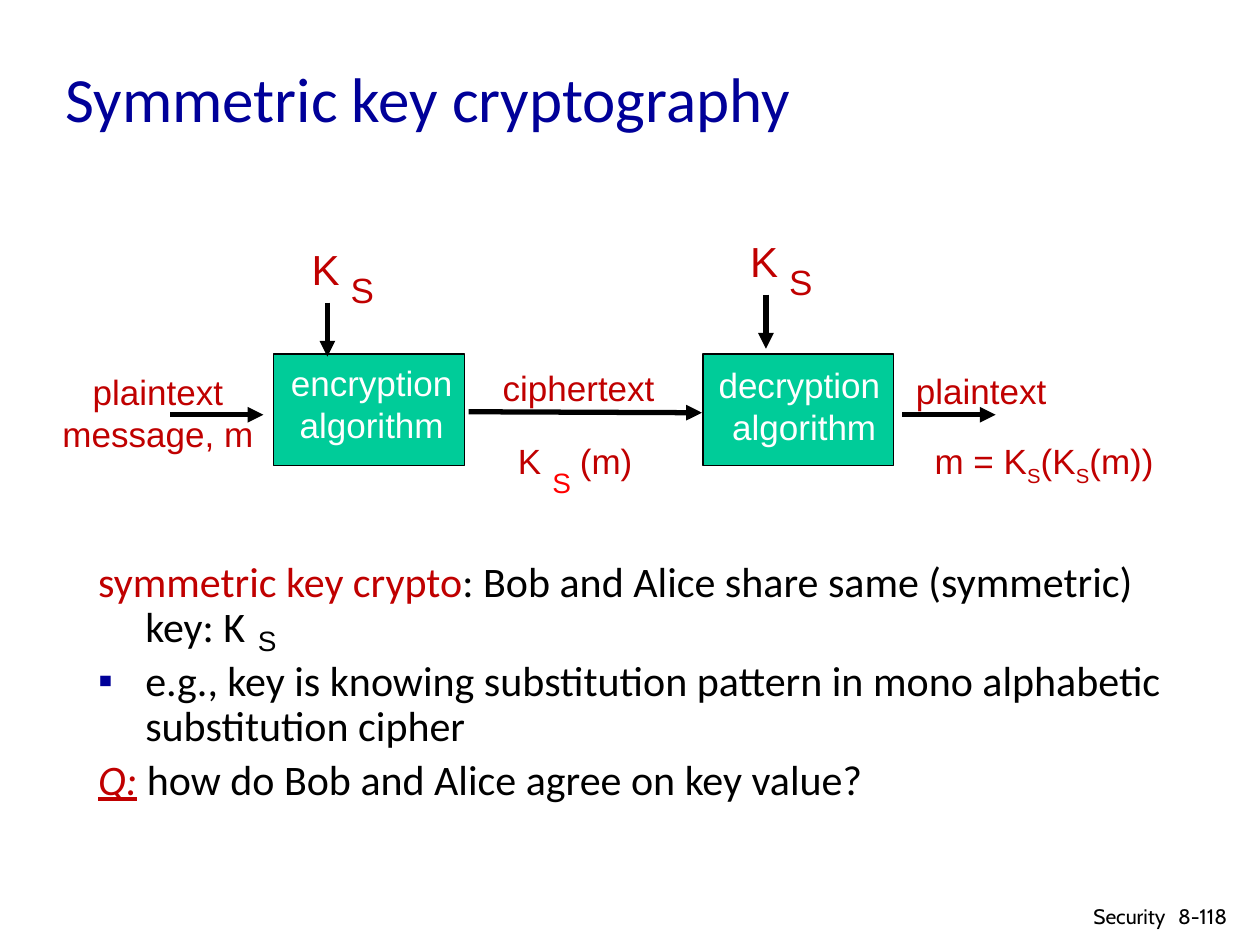
from dataclasses import dataclass
from typing import Any

from lxml.etree import SubElement
from pptx import Presentation
from pptx.dml.color import RGBColor
from pptx.enum.shapes import MSO_CONNECTOR as LINK, MSO_SHAPE as SHAPE
from pptx.enum.text import MSO_ANCHOR as ANCHOR, MSO_AUTO_SIZE as FIT, PP_ALIGN as ALIGN
from pptx.oxml.ns import qn
from pptx.util import Cm, Pt

RED, NAVY, BLACK, WHITE, GREEN = "C00000", "000099", "000000", "FFFFFF", "00CC99"


def color(code):
    return RGBColor.from_string(code)


@dataclass
class SlideBuilder:
    """Holds the text style and the current page and draws each kind of element."""

    page: Any
    face: str = "Arial"
    size: float = 20
    ink: str = RED

    def add_spans(self, para, spans, **style):
        look = {"name": self.face, "size": self.size, "ink": self.ink} | style
        for text, changes in spans:
            span = para.add_run()
            span.text = text
            values = look | changes
            span.font.color.rgb = color(values.pop("ink"))
            values["size"] = Pt(values["size"])
            baseline = values.pop("baseline", None)
            for name, value in values.items():
                setattr(span.font, name, value)
            if baseline:
                span._r.get_or_add_rPr().set("baseline", str(baseline))

    def text(self, place, lines, align=ALIGN.CENTER, wrap=False, fill=None,
             anchor=ANCHOR.TOP, **style):
        box = self.page.shapes.add_textbox(*map(Cm, place))
        if fill:
            box.fill.solid()
            box.fill.fore_color.rgb = color(fill)
        frame = box.text_frame
        settings = {"word_wrap": wrap, "vertical_anchor": anchor,
                    "auto_size": FIT.NONE if wrap else FIT.SHAPE_TO_FIT_TEXT}
        for name, value in settings.items():
            setattr(frame, name, value)
        for index, line in enumerate(lines):
            para = frame.add_paragraph() if index else frame.paragraphs[0]
            para.alignment = align
            self.add_spans(para, [(line, {})] if isinstance(line, str) else line, **style)
        return frame

    def block(self, place):
        box = self.page.shapes.add_shape(SHAPE.RECTANGLE, *map(Cm, place))
        box.shadow.inherit = False
        box.fill.solid()
        box.fill.fore_color.rgb = color(GREEN)
        box.line.color.rgb = color(BLACK)
        box.line.width = Pt(0.75)

    def arrow(self, *ends):
        line = self.page.shapes.add_connector(LINK.STRAIGHT, *map(Cm, ends))
        line.line.color.rgb = color(BLACK)
        line.line.width = Pt(3)
        SubElement(line.line._get_or_add_ln(), qn("a:tailEnd"), type="triangle")
        SubElement(line._element.spPr, qn("a:effectLst"))

    def key(self, left, top):
        self.text((left, top, 1.09, 1.3), ["K"], fill=WHITE, size=24)
        self.text((left + 0.79, top + 0.5, 0.99, 1.09), ["S"])
        self.arrow(left + 0.58, top + 1.32, left + 0.58, top + 2.41)

    def hang(self, para, space, bullet=None):
        para.line_spacing = 0.9
        para.space_before = Pt(space)
        props = para._p.get_or_add_pPr()
        props.set("marL", str(Cm(0.95)))
        props.set("indent", str(Cm(-0.95)))
        if bullet:
            tint = SubElement(props, qn("a:buClr"))
            SubElement(tint, qn("a:srgbClr"), val=NAVY)
            SubElement(props, qn("a:buFont"), typeface="Arial")
            SubElement(props, qn("a:buChar"), char=bullet)

    def tab_stop(self, para, distance):
        stops = SubElement(para._p.get_or_add_pPr(), qn("a:tabLst"))
        SubElement(stops, qn("a:tab"), pos=str(Cm(distance)), algn="l")


def main():
    deck = Presentation()
    deck.slide_width, deck.slide_height = Cm(25.4), Cm(19.05)
    slide = SlideBuilder(deck.slides.add_slide(deck.slide_layouts[6]))

    slide.text((1.07, 0.38, 21.59, 3.18), ["Symmetric key cryptography"], ALIGN.LEFT,
               wrap=True, anchor=ANCHOR.MIDDLE, name="Calibri", size=36, ink=NAVY)
    question = {"ink": RED, "italic": True}
    body = slide.text((1.73, 11.18, 22.83, 5.49), [
        [("symmetric key crypto", {"ink": RED}),
         (": Bob and Alice share same (symmetric) key: K", {})],
        "e.g., key is knowing substitution pattern in mono alphabetic substitution cipher",
        [("Q:", question | {"underline": True}), (" ", question),
         ("how do Bob and Alice agree on key value?", {})],
    ], ALIGN.LEFT, wrap=True, name="Calibri", size=24, ink=BLACK)
    for para, space, bullet in zip(body.paragraphs, (0, 4.8, 4.8), (None, "▪", None)):
        slide.hang(para, space, bullet)
    slide.text((4.93, 12.45, 0.91, 0.94), ["S"], size=16, ink=BLACK)

    slide.text((18.19, 7.32, 3.18, 1.12), ["plaintext"], fill=WHITE)
    slide.text((9.86, 7.26, 3.61, 1.12), ["ciphertext"], fill=WHITE)
    slide.block((5.51, 7.14, 3.86, 2.24))
    slide.text((5.59, 7.16, 3.81, 1.96), ["encryption", "algorithm"], ink=WHITE)
    slide.block((14.17, 7.14, 3.84, 2.24))
    slide.text((14.22, 7.21, 3.99, 1.96), ["decryption ", "algorithm"], ink=WHITE)
    slide.key(6.02, 4.78)
    slide.key(14.86, 4.62)
    slide.arrow(9.45, 8.3, 14.15, 8.32)
    for left in (3.43, 18.19):
        slide.arrow(left, 8.36, left + 1.88, 8.36)

    slide.text((0.99, 7.34, 4.39, 1.96), ["plaintext", "message, m"])
    cipher = slide.text((10.19, 8.74, 2.84, 1.09), ["K\t(m)"], ALIGN.LEFT, wrap=True)
    slide.tab_stop(cipher.paragraphs[0], 1.25)
    slide.text((10.87, 9.27, 0.91, 0.94), ["S"], size=16, ink="FF0000")
    low = {"baseline": -25000}
    slide.text((18.59, 8.74, 5.03, 1.12), [
        [("m = K", {}), ("S", low), ("(K", {}), ("S", low), ("(m))", {})]], ALIGN.LEFT)

    footer = {"wrap": True, "name": "Cabin", "size": 12, "ink": BLACK}
    slide.text((23.5, 18.08, 1.9, 0.76), ["8-118"], ALIGN.LEFT, **footer)
    slide.text((21.74, 18.08, 2.01, 0.71), ["Security"], ALIGN.RIGHT, **footer)
    deck.save("out.pptx")


if __name__ == "__main__":
    main()
